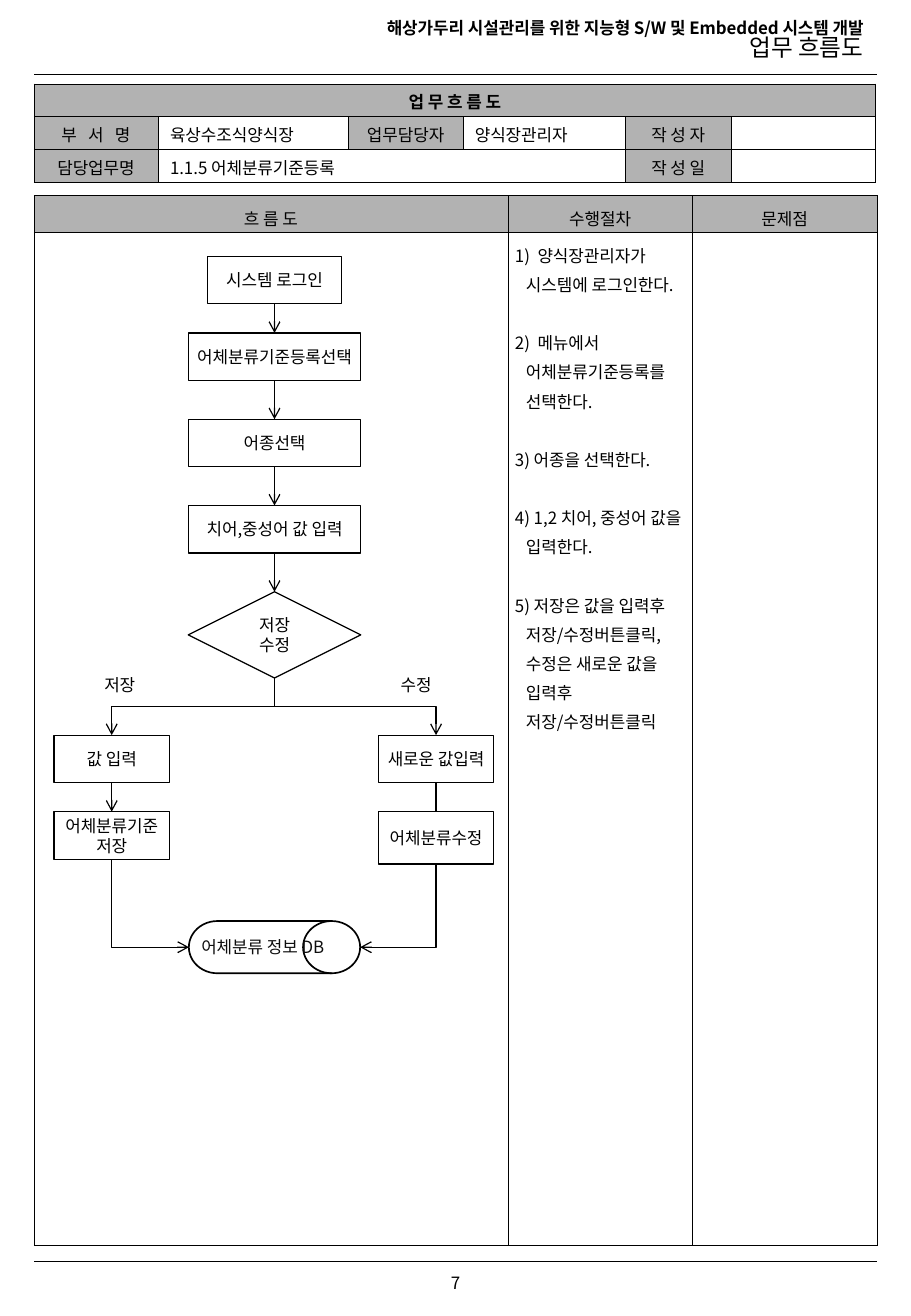
"""Build the workflow page for registering fish classification criteria."""
from lxml.etree import SubElement
from pptx import Presentation
from pptx.dml.color import RGBColor
from pptx.enum.shapes import MSO_CONNECTOR, MSO_SHAPE
from pptx.enum.text import MSO_ANCHOR, MSO_AUTO_SIZE, PP_ALIGN
from pptx.oxml import parse_xml
from pptx.oxml.ns import nsdecls, qn
from pptx.util import Inches, Pt

FONT = "Noto Sans CJK KR"
COLORS = {"ink": "000000", "soft_ink": "0D0D0D", "header": "B2B2B2", "paper": "FFFFFF"}

PROJECT = "해상가두리 시설관리를 위한 지능형 S/W 및 Embedded 시스템 개발"
PAGE_NAME = "업무 흐름도"
PAGE_NUMBER = "7"
PAGE_LEFT, PAGE_RIGHT = 0.28, 7.22
RULES = [0.61, 10.38]

INFO_COLUMNS = [1.02, 1.57, 0.94, 1.34, 0.87, 1.19]
INFO_ROWS = [0.27] * 3
INFO = [
    ["업 무 흐 름 도", "", "", "", "", ""],
    ["부   서   명", "육상수조식양식장", "업무담당자", "양식장관리자", "작 성 자", ""],
    ["담당업무명", "1.1.5 어체분류기준등록", "", "", "작 성 일", ""],
]
INFO_LABELS = {(0, 0), (1, 0), (1, 2), (1, 4), (2, 0), (2, 4)}
INFO_SPANS = [((0, 0), (0, 5)), ((2, 1), (2, 3))]

STEPS = [
    "1)  양식장관리자가\v시스템에 로그인한다.",
    "2)  메뉴에서 어체분류기준등록를 선택한다.",
    "3) 어종을 선택한다.",
    "4) 1,2 치어, 중성어 값을 입력한다.",
    "5) 저장은 값을 입력후 저장/수정버튼클릭, 수정은 새로운 값을 입력후 저장/수정버튼클릭",
]
FLOW_COLUMNS = [3.9, 1.52, 1.52]
FLOW_ROWS = [0.3, 8.34]
FLOW = [["흐 름 도", "수행절차", "문제점"], ["", STEPS, ""]]
FLOW_LABELS = {(0, 0), (0, 1), (0, 2)}

MAIN, SAVE, EDIT = 2.26, 0.92, 3.59
PROCESS = MSO_SHAPE.FLOWCHART_PROCESS
NODES = {
    "login": (PROCESS, MAIN, 2.11, 1.1, 0.39, ["시스템 로그인"]),
    "menu": (PROCESS, MAIN, 2.74, 1.42, 0.39, ["어체분류기준등록선택"]),
    "species": (PROCESS, MAIN, 3.45, 1.42, 0.39, ["어종선택"]),
    "values": (PROCESS, MAIN, 4.16, 1.42, 0.39, ["치어,중성어 값 입력"]),
    "choice": (MSO_SHAPE.FLOWCHART_DECISION, MAIN, 4.87, 1.42, 0.71, ["저장", "수정"]),
    "enter": (PROCESS, SAVE, 6.05, 0.95, 0.39, ["값 입력"]),
    "store": (PROCESS, SAVE, 6.68, 0.95, 0.39, ["어체분류기준", "저장"]),
    "renew": (PROCESS, EDIT, 6.05, 0.95, 0.39, ["새로운 값입력"]),
    "revise": (PROCESS, EDIT, 6.68, 0.95, 0.43, ["어체분류수정"]),
}
DATABASE = (MSO_SHAPE.FLOWCHART_DIRECT_ACCESS_STORAGE, MAIN, 7.58, 1.41, 0.43, ["어체분류 정보 DB"])
ARROWS = [("login", "menu"), ("menu", "species"), ("species", "values"),
          ("values", "choice"), ("enter", "store")]
BRANCHES = [("choice", "enter"), ("choice", "renew")]
TO_DATABASE = [("store", -1), ("renew", 1)]
BRANCH_LABELS = [("저장", 0.76), ("수정", 3.2)]


def rgb(name):
    return RGBColor.from_string(COLORS[name])


def write(frame, lines, size=10, bold=False, color="ink", **paragraph_format):
    for index, line in enumerate(lines):
        paragraph = frame.paragraphs[0] if index == 0 else frame.add_paragraph()
        paragraph.text = line
        for name, value in paragraph_format.items():
            setattr(paragraph, name, value)
        for run in paragraph.runs:
            for name, value in {"size": Pt(size), "bold": bold, "name": FONT}.items():
                setattr(run.font, name, value)
            run.font.color.rgb = rgb(color)
            SubElement(run.font._element, qn("a:ea"), typeface=FONT)
        if not line:
            SubElement(paragraph._p, qn("a:endParaRPr"), sz=str(size * 100))


def add_text(slide, box, lines, frame_format, **text_format):
    frame = slide.shapes.add_textbox(*map(Inches, box)).text_frame
    for name, value in frame_format.items():
        setattr(frame, name, value)
    write(frame, lines, **text_format)


def add_line(slide, start, end, width=0.75, arrow=True, kind=MSO_CONNECTOR.STRAIGHT):
    line = slide.shapes.add_connector(kind, *map(Inches, (*start, *end)))
    line.line.width = Pt(width)
    line.line.color.rgb = rgb("ink")
    if arrow:
        SubElement(line.line._get_or_add_ln(), qn("a:tailEnd"), type="arrow")
    SubElement(line.element.spPr, qn("a:effectLst"))
    return line


def add_elbow(slide, start, end, preset):
    """Draw a connector that leaves its start point downwards."""
    (x1, y1), (x2, y2) = start, end
    across, down = abs(x2 - x1), y2 - y1
    left, top = (x1 + x2 - down) / 2, (y1 + y2 - across) / 2
    elbow = add_line(slide, (left, top), (left + down, top + across), kind=MSO_CONNECTOR.ELBOW)
    properties = elbow.element.spPr
    properties.find(qn("a:prstGeom")).set("prst", preset)
    turn = {"rot": "16200000", "flipH": "1"} if x2 > x1 else {"rot": "5400000"}
    for name, value in turn.items():
        properties.find(qn("a:xfrm")).set(name, value)


def add_node(slide, node, fill="paper", width=0.75, color="ink", inset=0.1):
    kind, center, top, across, height, lines = node
    shape = slide.shapes.add_shape(kind, *map(Inches, (center - across / 2, top, across, height)))
    shape.shadow.inherit = False
    if fill:
        shape.fill.solid()
        shape.fill.fore_color.rgb = rgb(fill)
    else:
        shape.fill.background()
    shape.line.color.rgb = rgb("ink")
    shape.line.width = Pt(width)
    frame = shape.text_frame
    frame.word_wrap = False
    frame.vertical_anchor = MSO_ANCHOR.MIDDLE
    frame.margin_left = Inches(inset)
    write(frame, lines, color=color, alignment=PP_ALIGN.CENTER)


def add_grid(slide, top, columns, rows, content, labels, spans, cell_format, spacing):
    box = (PAGE_LEFT, top, sum(columns), sum(rows))
    table = slide.shapes.add_table(len(rows), len(columns), *map(Inches, box)).table
    table.first_row = table.horz_banding = False
    for column, width in zip(table.columns, columns):
        column.width = Inches(width)
    for row, height in zip(table.rows, rows):
        row.height = Inches(height)
    for (r1, c1), (r2, c2) in spans:
        table.cell(r1, c1).merge(table.cell(r2, c2))
    for r, texts in enumerate(content):
        for c, text in enumerate(texts):
            cell = table.cell(r, c)
            for name, value in cell_format.items():
                setattr(cell, name, value)
            is_label = (r, c) in labels
            lines = text if isinstance(text, list) else [text]
            write(cell.text_frame, lines, bold=len(spans) > 0 and r == 0, line_spacing=spacing,
                  alignment=PP_ALIGN.CENTER if is_label else PP_ALIGN.LEFT)
            if is_label:
                cell.fill.solid()
                cell.fill.fore_color.rgb = rgb("header")
            else:
                cell.fill.background()
            for position, side in enumerate("LRTB"):
                cell._tc.get_or_add_tcPr().insert(position, parse_xml(
                    f'<a:ln{side} {nsdecls("a")} w="3175"><a:solidFill>'
                    f'<a:srgbClr val="{COLORS["ink"]}"/></a:solidFill></a:ln{side}>'))
    return table


def bottom(key):
    _, center, top, _, height, _ = NODES[key]
    return center, top + height


def main():
    deck = Presentation()
    deck.slide_width, deck.slide_height = Inches(7.5), Inches(10.83)
    slide = deck.slides.add_slide(deck.slide_layouts[5])

    title = slide.shapes.title
    for name, value in zip(("left", "top", "width", "height"), (2.33, 0.07, 4.88, 0.51)):
        setattr(title, name, Inches(value))
    heading = title.text_frame
    heading.auto_size = MSO_AUTO_SIZE.NONE
    heading.vertical_anchor = MSO_ANCHOR.MIDDLE
    write(heading, [PROJECT, PAGE_NAME], bold=True, alignment=PP_ALIGN.RIGHT, line_spacing=1.0)
    heading.paragraphs[1].line_spacing = 0.85
    for name, value in {"size": Pt(14), "bold": False}.items():
        setattr(heading.paragraphs[1].runs[0].font, name, value)

    for y in RULES:
        add_line(slide, (PAGE_LEFT, y), (PAGE_RIGHT, y), width=0.25, arrow=False)
    add_text(slide, (3.34, 10.34, 0.82, 0.44), [PAGE_NUMBER],
             {"vertical_anchor": MSO_ANCHOR.MIDDLE, "word_wrap": True}, alignment=PP_ALIGN.CENTER)

    add_grid(slide, 0.69, INFO_COLUMNS, INFO_ROWS, INFO, INFO_LABELS, INFO_SPANS,
             {"vertical_anchor": MSO_ANCHOR.MIDDLE, "margin_top": Inches(0.04),
              "margin_bottom": Inches(0.02)}, 1.0)
    flow = add_grid(slide, 1.61, FLOW_COLUMNS, FLOW_ROWS, FLOW, FLOW_LABELS, [],
                    {"margin_left": Inches(0.06), "margin_right": Inches(0.06),
                     "margin_top": Inches(0.05), "margin_bottom": 0}, 1.2)
    for index, step in enumerate(flow.cell(1, 1).text_frame.paragraphs):
        hanging = step._p.get_or_add_pPr()
        hanging.set("marL", str(Inches(0.09)))
        hanging.set("indent", str(-Inches(0.09)))
        if index:
            step.space_before = Pt(17.3)

    for source, target in ARROWS:
        add_line(slide, bottom(source), NODES[target][1:3])
    for source, target in BRANCHES:
        add_elbow(slide, bottom(source), NODES[target][1:3], "bentConnector3")
    _, center, top, across, height, _ = DATABASE
    for source, side in TO_DATABASE:
        entry = (center + side * across / 2, top + height / 2)
        add_elbow(slide, bottom(source), entry, "bentConnector2")
    for node in NODES.values():
        add_node(slide, node)
    add_node(slide, DATABASE, fill=None, width=1, color="soft_ink", inset=0.14)
    for label, left in BRANCH_LABELS:
        add_text(slide, (left, 5.5, 0.55, 0.27), [label], {"word_wrap": True})

    deck.save("out.pptx")


if __name__ == "__main__":
    main()
